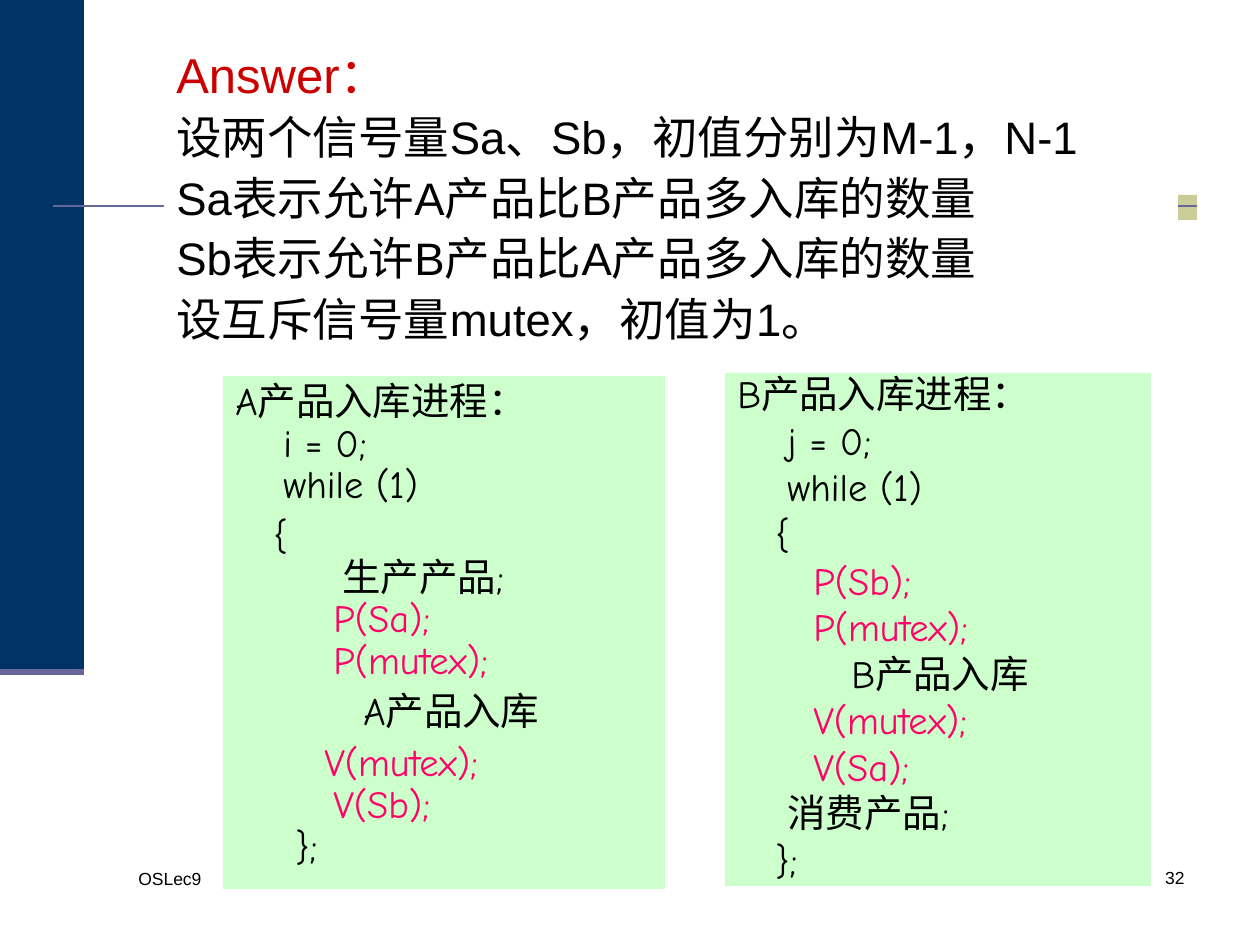
"""Builds the slide that answers a two-product warehouse semaphore exercise."""
from dataclasses import dataclass

from lxml import etree
from pptx import Presentation
from pptx import util as u
from pptx.dml.color import RGBColor
from pptx.enum import shapes, text
from pptx.oxml.ns import qn

SCALE = u.Inches(1) / 126
BLACK, RED, PINK = "000000", "CC0000", "FF0369"
NAVY, VIOLET, KHAKI, MINT, WHITE = "003366", "666699", "CCCC99", "CCFFCC", "FFFFFF"


@dataclass(frozen=True)
class Box:
    """Position and size in px."""
    left: int
    top: int
    width: int
    height: int


@dataclass(frozen=True)
class Line:
    """One line of text with its format; indent is in px."""
    words: str
    indent: int = 0
    color: str = BLACK
    size: float = 22
    before: float = 5.5


@dataclass(frozen=True)
class Process:
    """A panel of pseudocode."""
    box: Box
    spacing: float
    lines: tuple[Line, ...]


def px(length: int) -> u.Emu:
    """Turn px into EMU."""
    return u.Emu(round(length * SCALE))


def rgb(value: str) -> RGBColor:
    """Turn a hex string into a colour."""
    return RGBColor.from_string(value)


def draw_rect(slide, box: Box, fill: str):
    """Draw a plain filled rectangle."""
    rect = slide.shapes.add_shape(shapes.MSO_SHAPE.RECTANGLE, px(box.left),
                                  px(box.top), px(box.width), px(box.height))
    rect.shadow.inherit = False
    rect.fill.solid()
    rect.fill.fore_color.rgb = rgb(fill)
    rect.line.fill.background()
    return rect


def draw_rule(slide, left: int, right: int, y: int, weight: float) -> None:
    """Draw a horizontal line."""
    rule = slide.shapes.add_connector(shapes.MSO_CONNECTOR.STRAIGHT,
                                      px(left), px(y), px(right), px(y))
    rule.line.color.rgb = rgb(VIOLET)
    rule.line.width = u.Pt(weight)
    etree.SubElement(rule._element.spPr, qn("a:effectLst"))


def write(shape, lines: tuple[Line, ...], *, font: str = "Arial",
          spacing: float = 1.0, align=text.PP_ALIGN.LEFT) -> None:
    """Write lines into a shape, one paragraph each."""
    frame = shape.text_frame
    frame.word_wrap = True
    frame.vertical_anchor = text.MSO_ANCHOR.TOP
    for number, line in enumerate(lines):
        paragraph = frame.add_paragraph() if number else frame.paragraphs[0]
        paragraph.alignment = align
        paragraph.line_spacing = spacing
        paragraph.space_before = u.Pt(line.before)
        paragraph._p.get_or_add_pPr().set("marL", str(px(line.indent)))
        run = paragraph.add_run()
        run.text = line.words
        run.font.name = font
        run.font.size = u.Pt(line.size)
        run.font.color.rgb = rgb(line.color)


def draw_footer(slide, box: Box, words: str, align) -> None:
    """Draw a small footer text."""
    footer = slide.shapes.add_textbox(px(box.left), px(box.top),
                                      px(box.width), px(box.height))
    write(footer, (Line(words, size=10, before=0),), align=align)


def draw_process(slide, process: Process) -> None:
    """Draw a pseudocode panel."""
    panel = draw_rect(slide, process.box, MINT)
    write(panel, process.lines, font="Comic Neue", spacing=process.spacing)


ANSWER = (
    Line("Answer：", color=RED, size=28, before=7),
    *(Line(words, size=26, before=6.5) for words in (
        "设两个信号量Sa、Sb，初值分别为M-1，N-1",
        "Sa表示允许A产品比B产品多入库的数量",
        "Sb表示允许B产品比A产品多入库的数量",
        "设互斥信号量mutex，初值为1。",
    )),
)

PROCESSES = (
    Process(Box(725, 373, 426, 513), 0.8, (
        Line("B产品入库进程："),
        Line("j = 0;", 50),
        Line("while (1)", 50),
        Line("{", 38),
        Line("P(Sb);", 76, PINK),
        Line("P(mutex);", 76, PINK),
        Line("B产品入库", 114),
        Line("V(mutex);", 76, PINK),
        Line("V(Sa);", 76, PINK),
        Line("消费产品;", 50),
        Line("};", 38),
    )),
    Process(Box(223, 376, 442, 513), 0.9, (
        Line("A产品入库进程："),
        Line("i = 0;", 48, before=0),
        Line("while (1)", 48, before=0),
        Line("{", 38),
        Line("生产产品;", 107, before=0),
        Line("P(Sa);", 98, PINK, before=0),
        Line("P(mutex);", 98, PINK, before=0),
        Line("A产品入库", 128),
        Line("V(mutex);", 89, PINK),
        Line("V(Sb);", 98, PINK, before=0),
        Line("};", 60, before=0),
    )),
)


def main() -> None:
    """Build and save the slide."""
    deck = Presentation()
    deck.slide_width, deck.slide_height = px(1260), px(945)
    slide = deck.slides.add_slide(deck.slide_layouts[6])

    draw_rect(slide, Box(0, 0, 84, 672), NAVY)
    draw_rect(slide, Box(945, 195, 252, 25), KHAKI)
    draw_rule(slide, 53, 1197, 206, 1.5)
    draw_rule(slide, 0, 84, 672, 3.5)
    draw_footer(slide, Box(126, 862, 273, 63), "OSLec9", text.PP_ALIGN.LEFT)
    draw_footer(slide, Box(935, 861, 262, 63), "32", text.PP_ALIGN.RIGHT)

    answer = draw_rect(slide, Box(164, 45, 1014, 328), WHITE)
    write(answer, ANSWER, spacing=0.9)
    for process in PROCESSES:
        draw_process(slide, process)
    deck.save("out.pptx")


if __name__ == "__main__":
    main()
